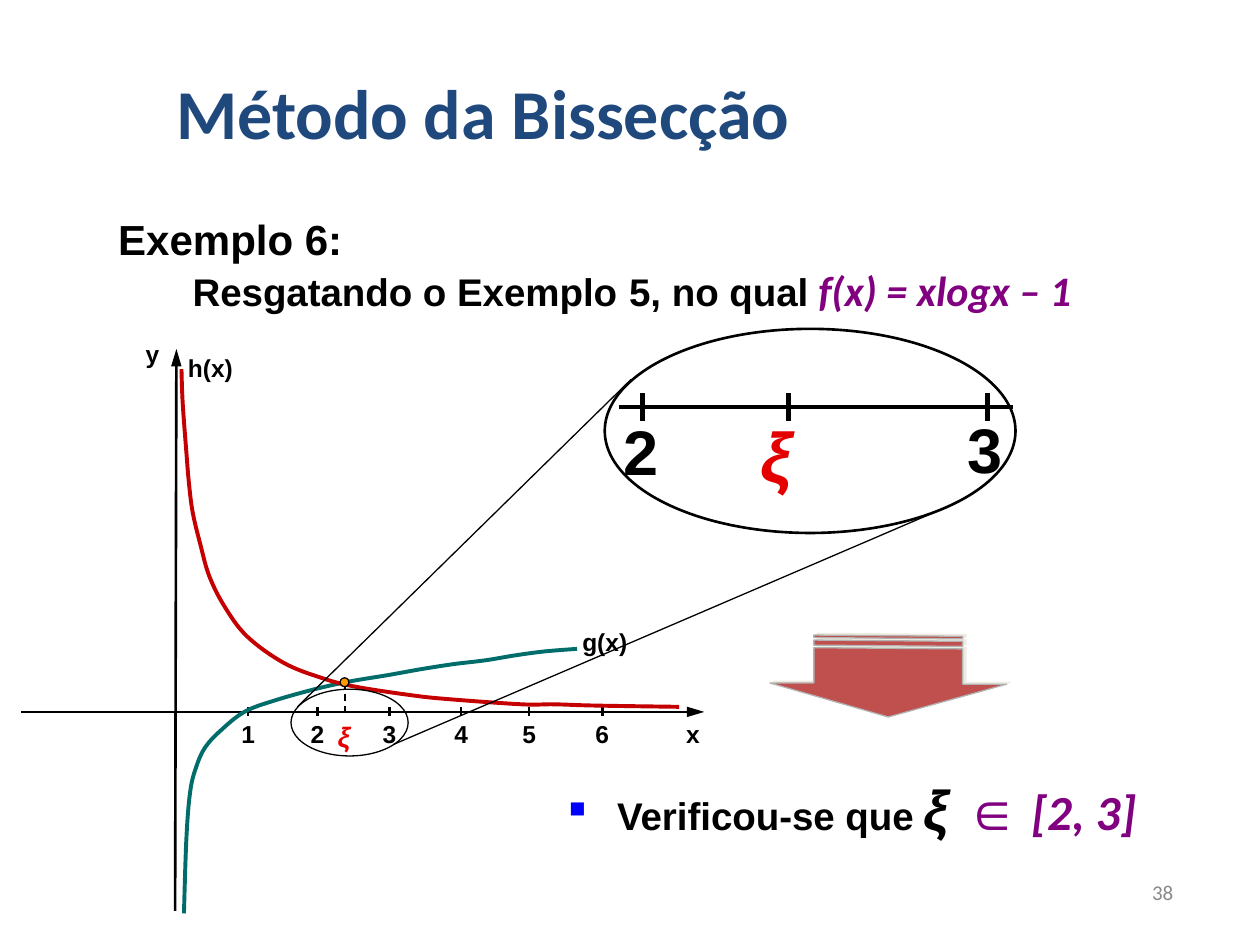
from lxml import etree
from pptx import Presentation
from pptx.dml.color import RGBColor
from pptx.enum.dml import MSO_LINE
from pptx.enum.shapes import MSO_CONNECTOR, MSO_SHAPE
from pptx.enum.text import MSO_ANCHOR as ANCHOR, PP_ALIGN as ALIGN
from pptx.oxml.ns import qn
from pptx.util import Inches, Pt

COLORS = {
    "black": "000000", "title": "1F497D", "purple": "800080", "root": "E40000",
    "h_curve": "C40000", "g_curve": "006D6A", "point": "FF9900", "bullet": "0000FF",
    "arrow": "C0504D", "arrow_line": "B2B2B2", "shadow": "EEECE1", "number": "898989",
}

# Ticks and curve knots, in inches from the crossing of the axes
TICKS = [0.57, 1.12, 1.69, 2.26, 2.8, 3.38]
G_KNOTS = [
    (0.06, 1.6), (0.08, 1), (0.11, 0.63), (0.16, 0.43), (0.23, 0.28), (0.35, 0.15),
    (0.54, 0), (0.78, -0.09), (1.1, -0.18), (1.37, -0.24), (1.67, -0.29), (1.95, -0.34),
    (2.21, -0.38), (2.46, -0.41), (2.7, -0.45), (2.93, -0.48), (3.18, -0.5),
]
H_KNOTS = [
    (3.99, -0.04), (3.32, -0.05), (3, -0.06), (2.74, -0.06), (2.17, -0.1), (1.88, -0.13),
    (1.42, -0.2), (1.15, -0.27), (0.85, -0.39), (0.56, -0.6), (0.38, -0.84),
    (0.26, -1.08), (0.19, -1.33), (0.13, -1.58), (0.1, -1.81), (0.08, -2.05),
    (0.05, -2.45), (0.04, -2.72),
]


def rgb(name):
    return RGBColor.from_string(COLORS[name])


def add_line(slide, start, end, width, arrow=False, dashed=False):
    """A line; its arrowhead, if any, is at the start."""
    points = [Inches(v) for v in (*start, *end)]
    line = slide.shapes.add_connector(MSO_CONNECTOR.STRAIGHT, *points)
    line.line.color.rgb = rgb("black")
    line.line.width = Pt(width)
    if dashed:
        line.line.dash_style = MSO_LINE.DASH
    if arrow:
        etree.SubElement(line.line._get_or_add_ln(), qn("a:headEnd"),
                         type="triangle", w="med", len="lg")
    etree.SubElement(line._element.spPr, qn("a:effectLst"))


def style_shape(shape, line, width, fill=None):
    shape.shadow.inherit = False
    if fill:
        shape.fill.solid()
        shape.fill.fore_color.rgb = rgb(fill)
    else:
        shape.fill.background()
    shape.line.color.rgb = rgb(line)
    shape.line.width = Pt(width)


def add_ellipse(slide, box, width, fill=None):
    ellipse = slide.shapes.add_shape(MSO_SHAPE.OVAL, *[Inches(v) for v in box])
    style_shape(ellipse, "black", width, fill)


def add_text_box(slide, box, inset=(0.1, 0.05), anchor=ANCHOR.TOP):
    frame = slide.shapes.add_textbox(*[Inches(v) for v in box]).text_frame
    frame.word_wrap = True
    frame.vertical_anchor = anchor
    frame.margin_left = frame.margin_right = Inches(inset[0])
    frame.margin_top = frame.margin_bottom = Inches(inset[1])
    return frame


def add_run(paragraph, text, size, font="Arial", color="black", bold=True, italic=False):
    run = paragraph.add_run()
    run.text = text
    run.font.size, run.font.name = Pt(size), font
    run.font.bold, run.font.italic = bold, italic
    run.font.color.rgb = rgb(color)


def add_label(slide, center, top, text, size=14, color="black", italic=False, width=0.3):
    height = 0.24 if size < 20 else 0.55
    frame = add_text_box(slide, (center - width / 2, top, width, height), (0, 0))
    frame.paragraphs[0].alignment = ALIGN.CENTER
    add_run(frame.paragraphs[0], text, size, color=color, italic=italic)


def hang(paragraph, indent):
    properties = paragraph._p.get_or_add_pPr()
    properties.set("marL", str(Inches(indent)))
    properties.set("indent", str(-Inches(indent)))
    return properties


def add_outline(slide, left, top, contours, close):
    """One freeform made of contours given in inches from left, top."""
    placed = [[(Inches(left + x), Inches(top + y)) for x, y in c] for c in contours]
    builder = slide.shapes.build_freeform(*placed[0][0])
    for index, contour in enumerate(placed):
        if index:
            builder.move_to(*contour[0])
        builder.add_line_segments(contour[1:], close=close)
    return builder.convert_to_shape()


def smooth(outline):
    """Turn the straight segments of an open outline into Bézier curves."""
    points = [(int(p.get("x")), int(p.get("y"))) for p in outline._element.iter(qn("a:pt"))]
    padded = [points[0], *points, points[-1]]
    segments = list(outline._element.iter(qn("a:lnTo")))
    for segment, a, b, c, d in zip(segments, padded, padded[1:], padded[2:], padded[3:]):
        leave = [q + (r - p) / 6 for p, q, r in zip(a, b, c)]
        arrive = [q - (r - p) / 6 for p, q, r in zip(b, c, d)]
        bezier = etree.Element(qn("a:cubicBezTo"))
        for x, y in (leave, arrive, c):
            etree.SubElement(bezier, qn("a:pt"), x=str(round(x)), y=str(round(y)))
        segment.getparent().replace(segment, bezier)


def add_title(slide, box):
    frame = add_text_box(slide, box, anchor=ANCHOR.BOTTOM)
    add_run(frame.paragraphs[0], "Método da Bissecção", 40, "Calibri", "title")


def add_example(slide, box):
    frame = add_text_box(slide, box)
    heading, statement = frame.paragraphs[0], frame.add_paragraph()
    for paragraph in (heading, statement):
        hang(paragraph, 0.59)
        paragraph.alignment = ALIGN.JUSTIFY
        paragraph.line_spacing = 0.8
    statement.space_before = Pt(6)
    add_run(heading, "Exemplo 6:", 24)
    add_run(statement, "\tResgatando o Exemplo", 22)
    add_run(statement, " ", 24)
    add_run(statement, "5, no qual", 22)
    add_run(statement, " ", 20)
    add_run(statement, "f(x) = xlogx – 1", 24, "Calibri", "purple", italic=True)


def add_plot(slide, box):
    left, top, width, height = box
    x0, y0 = left + 1.23, top + 2.88
    root_x = x0 + 1.34

    # Axes
    add_line(slide, (x0, top), (x0 - 0.01, top + height), 1.5, arrow=True)
    add_line(slide, (left + width, y0), (left, y0), 1.5, arrow=True)
    add_label(slide, x0 - 0.19, top - 0.08, "y")
    add_label(slide, x0 + 4.1, y0 + 0.06, "x")
    for number, tick in enumerate(TICKS, 1):
        x = x0 + tick
        add_line(slide, (x, y0 - 0.04), (x, y0 + 0.03), 1.5)
        add_label(slide, x, y0 + 0.06, str(number))

    # Curves
    for knots, color in ((G_KNOTS, "g_curve"), (H_KNOTS, "h_curve")):
        curve = add_outline(slide, x0, y0, [knots], close=False)
        smooth(curve)
        style_shape(curve, color, 2.25)
    add_label(slide, x0 + 3.4, y0 - 0.67, "g(x)", width=0.48)
    add_label(slide, x0 + 0.27, top + 0.03, "h(x)", width=0.48)

    # Root
    add_line(slide, (root_x, y0 - 0.24), (root_x, y0 + 0.01), 1, dashed=True)
    add_ellipse(slide, (root_x - 0.04, y0 - 0.27, 0.07, 0.07), 0.75, "point")
    add_label(slide, root_x - 0.01, y0 + 0.06, "ξ", 16, "root", italic=True)
    add_ellipse(slide, (x0 + 0.91, y0 - 0.18, 0.93, 0.53), 0.75)


def add_zoom(slide, box):
    left, top, width, height = box
    axis_y = top + 0.62
    # Lines from the small ellipse on the plot
    add_line(slide, (2.36, 5.61), (left + 0.21, top + 0.4), 0.75)
    add_line(slide, (3.12, 5.91), (left + 2.7, top + 1.42), 0.75)
    # Enlarged interval
    add_ellipse(slide, box, 1.5)
    add_line(slide, (left + 0.11, axis_y), (left + width - 0.02, axis_y), 2.25)
    for tick in (0.3, 1.46, 3.04):
        add_line(slide, (left + tick, axis_y - 0.11), (left + tick, axis_y + 0.11), 3)
    add_label(slide, left + 0.29, axis_y + 0.04, "2", 36, width=0.44)
    add_label(slide, left + 1.36, axis_y + 0.04, "ξ", 40, "root", True, 0.44)
    add_label(slide, left + 3.02, axis_y + 0.03, "3", 36, width=0.44)


def add_down_arrow(slide, box):
    left, top, width, height = box
    inner, outer = 0.35, width - 0.35

    def stripe(y, thickness):
        return [(inner, y), (outer, y + 0.01), (outer, y + 0.01 + thickness),
                (inner, y + thickness)]

    head = [(0, 0.38), (inner, 0.38), (inner, 0.1), (outer, 0.11), (outer, 0.39),
            (width, 0.39), (width / 2, height)]
    arrow = add_outline(slide, left, top, [head, stripe(0.04, 0.04), stripe(0, 0.02)], True)
    style_shape(arrow, "arrow_line", 0.75, "arrow")
    effects = arrow._element.spPr.find(qn("a:effectLst"))
    shadow = etree.SubElement(effects, qn("a:outerShdw"), dist=str(Pt(2.2)),
                              dir=str(334 * 60000), algn="ctr", rotWithShape="0")
    etree.SubElement(shadow, qn("a:srgbClr"), val=COLORS["shadow"])


def add_conclusion(slide, box):
    paragraph = add_text_box(slide, box).paragraphs[0]
    paragraph.alignment = ALIGN.JUSTIFY
    properties = hang(paragraph, 0.38)
    bullet_color = etree.SubElement(properties, qn("a:buClr"))
    etree.SubElement(bullet_color, qn("a:srgbClr"), val=COLORS["bullet"])
    etree.SubElement(properties, qn("a:buSzPct"), val="70000")
    etree.SubElement(properties, qn("a:buFont"), typeface="Arial")
    etree.SubElement(properties, qn("a:buChar"), char="■")
    add_run(paragraph, "Verificou-se que", 22)
    add_run(paragraph, " ", 24, "Calibri", italic=True)
    add_run(paragraph, "ξ ", 32, italic=True)
    add_run(paragraph, "∈", 32, color="purple", italic=True)
    add_run(paragraph, " [2, 3]", 28, "Calibri", "purple", italic=True)


def add_slide_number(slide, box):
    paragraph = add_text_box(slide, box, anchor=ANCHOR.MIDDLE).paragraphs[0]
    paragraph.alignment = ALIGN.RIGHT
    add_run(paragraph, "38", 12, "Calibri", "number", bold=False)


def main():
    deck = Presentation()
    deck.slide_width, deck.slide_height = Inches(10), Inches(7.5)
    slide = deck.slides.add_slide(deck.slide_layouts[6])
    add_slide_number(slide, (7.33, 6.83, 2.08, 0.5))
    add_example(slide, (0.84, 1.72, 9.16, 0.92))
    add_down_arrow(slide, (6.11, 5.04, 1.88, 0.65))
    add_conclusion(slide, (4.42, 6.1, 5.34, 0.57))
    add_plot(slide, (0.17, 2.77, 5.42, 4.46))
    add_zoom(slide, (4.8, 2.61, 3.26, 1.62))
    add_title(slide, (1.3, 0.57, 8.52, 0.7))
    deck.save("out.pptx")


if __name__ == "__main__":
    main()
